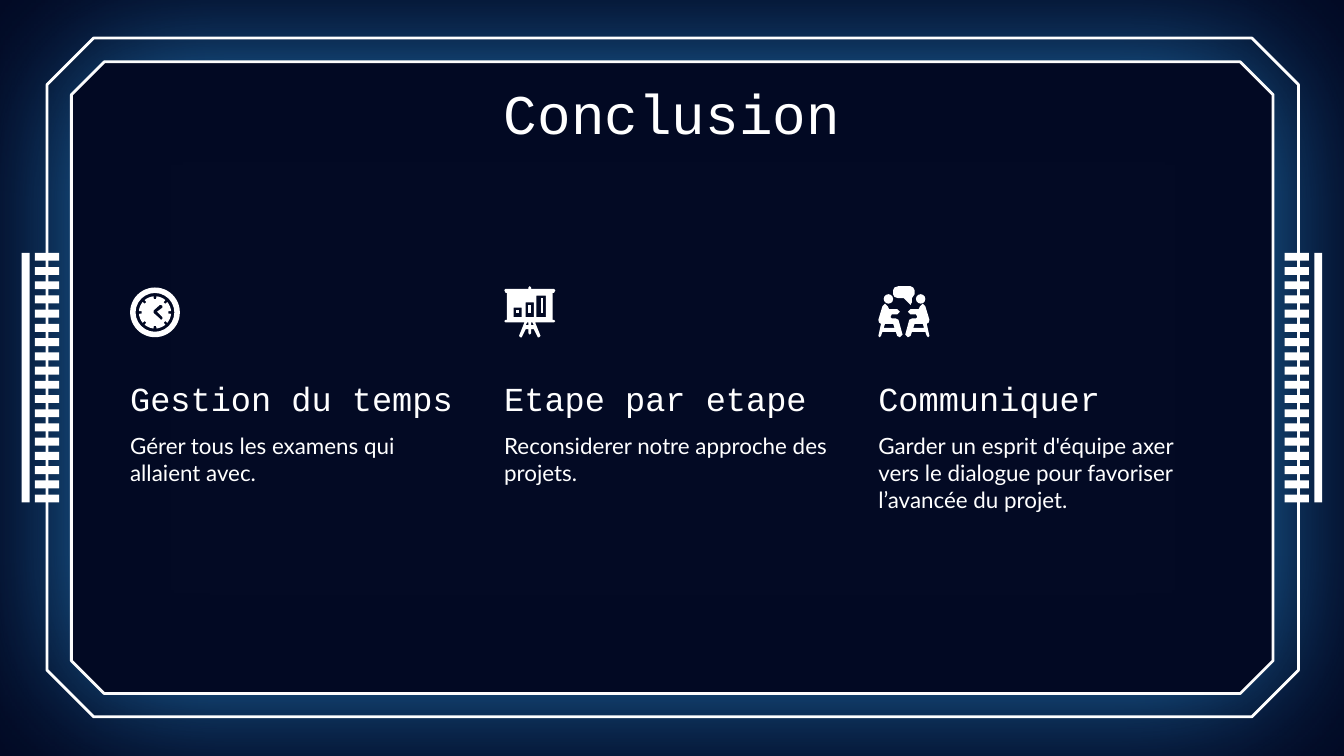
from math import cos, radians, sin

from lxml.etree import SubElement
from pptx import Presentation
from pptx.dml.color import RGBColor
from pptx.enum.shapes import MSO_SHAPE
from pptx.enum.text import MSO_ANCHOR, PP_ALIGN
from pptx.oxml.ns import qn
from pptx.util import Cm, Pt

NAVY = RGBColor(0x03, 0x0A, 0x24)
WHITE = RGBColor(0xFF, 0xFF, 0xFF)
GLOW = RGBColor(0x2E, 0x9D, 0xEF)
BLACK = RGBColor(0x00, 0x00, 0x00)
ICON_UNIT = Cm(0.0254)

BOARD = [(19, 0), (18, 1), (18, 2), (1, 2), (0, 3), (1, 5), (2, 5), (2, 25), (1, 25),
         (0, 26), (1, 27), (15, 27), (11, 37), (12, 38), (13, 38), (16, 32), (18, 32),
         (18, 35), (19, 36), (20, 35), (20, 32), (22, 32), (25, 38), (26, 38), (27, 37),
         (23, 27), (37, 27), (38, 26), (37, 25), (36, 25), (36, 5), (37, 5), (38, 3),
         (37, 2), (20, 2), (20, 1)]
BOARD_LEGS = [[(18, 27), (18, 29), (16, 29), (17, 27)], [(20, 27), (21, 27), (22, 29), (20, 29)]]
BARS = [(7, 16, 13, 23), (16, 12, 22, 23), (24, 7, 31, 23)]
BAR_CORES = [(9, 18, 11, 20), (18, 14, 20, 20), (27, 9, 29, 20)]
CLOCK_HAND = [(23, 13), (24, 13.5), (24, 15), (20, 18), (24, 22), (24, 23.5), (23, 24),
              (22, 23), (17.5, 19), (17.5, 17), (22, 13)]
SITTER = [(5, 13), (3, 15), (0, 25), (0.5, 27), (2, 28), (0, 37), (1, 38), (2, 37), (3, 34),
          (13, 34), (14, 37), (16, 38), (18, 36), (15, 25), (13, 24), (10, 24), (9, 23),
          (10, 21), (14, 21), (16, 19), (14, 17), (8, 17), (7, 15)]
CHAIR_GAP = [(11, 28), (12, 31), (4, 31), (5, 28)]
BUBBLE = [(15, 0), (12, 1), (11, 3), (11, 6), (12, 8), (15, 9), (19, 9), (23, 13), (24, 14),
          (25, 12), (25, 9), (27, 6), (27, 3), (26, 1), (24, 0)]


def paint(shape, fill):
    """Give a shape a plain fill with no line and no shadow."""
    shape.shadow.inherit = False
    shape.fill.solid()
    shape.fill.fore_color.rgb = fill
    shape.line.fill.background()
    return shape


def add_block(page, kind, left, top, width, height):
    """Add a white preset shape."""
    return paint(page.shapes.add_shape(kind, left, top, width, height), WHITE)


def add_outline(page, left, top, contours, unit=ICON_UNIT):
    """Add one white freeform made of closed contours."""
    placed = [[(left + x * unit, top + y * unit) for x, y in points] for points in contours]
    builder = page.shapes.build_freeform(*placed[0][0])
    for index, points in enumerate(placed):
        if index:
            builder.move_to(*points[0])
        builder.add_line_segments(points[1:], close=True)
    return paint(builder.convert_to_shape(), WHITE)


def corners(left, top, right, bottom):
    """Return the four corners of a rectangle."""
    return [(left, top), (right, top), (right, bottom), (left, bottom)]


def add_frame(page, left, top, width, height, cut, glow, blur, filled):
    """Draw a white frame with cut corners and a soft glow."""
    points = [(cut, 0), (width - cut, 0), (width, cut), (width, height - cut),
              (width - cut, height), (cut, height), (0, height - cut), (0, cut)]
    frame = add_outline(page, left, top, [points], 1)
    if filled:
        frame.fill.fore_color.rgb = NAVY
    else:
        frame.fill.background()
    frame.line.color.rgb = WHITE
    frame.line.width = Pt(1.5)
    effects = frame._element.spPr.find(qn("a:effectLst"))
    shadow = SubElement(effects, qn("a:outerShdw"), blurRad=str(Pt(blur)), dist="0",
                        algn="ctr", rotWithShape="0")
    color = SubElement(shadow, qn("a:srgbClr"), val=str(glow))
    SubElement(color, qn("a:alpha"), val="70000")


def add_rail(page, left, top, width, height, bar_first):
    """Draw a column of dashes with a bar on its outer side."""
    count, dash_width, thickness = 18, Cm(0.46), Cm(0.15)
    step = (height - thickness) / (count - 1)
    far = left + width
    dash_left, bar_left = (far - dash_width, left) if bar_first else (left, far - thickness)
    for index in range(count):
        add_block(page, MSO_SHAPE.RECTANGLE, dash_left, round(top + index * step),
                  dash_width, thickness)
    add_block(page, MSO_SHAPE.RECTANGLE, bar_left, top, thickness, height)


def add_text(page, left, top, width, height, text, font, size,
             anchor=MSO_ANCHOR.TOP, align=PP_ALIGN.LEFT):
    """Add a wrapped white text box."""
    box = page.shapes.add_textbox(left, top, width, height)
    frame = box.text_frame
    frame.word_wrap = True
    frame.vertical_anchor = anchor
    frame.margin_left = frame.margin_right = frame.margin_top = frame.margin_bottom = Cm(0.25)
    para = frame.paragraphs[0]
    para.alignment = align
    span = para.add_run()
    span.text = text
    span.font.name = font
    span.font.size = Pt(size)
    span.font.color.rgb = WHITE


def add_clock(page, left, top):
    """Draw a clock icon with a notched face."""
    ring = add_block(page, MSO_SHAPE.DONUT, left, top + ICON_UNIT, Cm(0.94), Cm(0.94))
    ring.adjustments[0] = 0.11
    face = []
    for tick in range(0, 360, 45):
        for radius, turn in ((10, -5), (10, 5), (12, 5), (12, 14), (12, 23), (12, 32), (12, 40)):
            angle = radians(tick + turn)
            face.append((18.5 + radius * cos(angle), 19.5 + radius * sin(angle)))
    hand = [(x, y + 1) for x, y in CLOCK_HAND]
    add_outline(page, left, top, [face, hand])


def add_board(page, left, top):
    """Draw a presentation board icon with a bar chart."""
    add_outline(page, left, top, [BOARD, *BOARD_LEGS, *(corners(*bar) for bar in BARS)])
    for core in BAR_CORES:
        add_outline(page, left, top, [corners(*core)])


def add_meeting(page, left, top):
    """Draw two seated people, mirrored, under a speech bubble."""
    add_outline(page, left, top, [BUBBLE])
    head = 7 * ICON_UNIT
    for mirrored in (False, True):
        parts = [[(38 - x if mirrored else x, y) for x, y in points]
                 for points in (SITTER, CHAIR_GAP)]
        add_outline(page, left, top, parts)
        head_left = left + (28 if mirrored else 4) * ICON_UNIT
        add_block(page, MSO_SHAPE.OVAL, head_left, top + 6 * ICON_UNIT, head, head)


def add_column(page, left, top, width, draw_icon, heading, body):
    """Place an icon, a heading and a text under each other."""
    draw_icon(page, left + Cm(0.25), top)
    add_text(page, left, top + Cm(1.57), width, Cm(1.17), heading, "Courier New", 18,
             MSO_ANCHOR.BOTTOM)
    add_text(page, left, top + Cm(2.51), width, Cm(2.57), body, "Lato", 12)


def main():
    """Build the conclusion slide."""
    deck = Presentation()
    deck.slide_width, deck.slide_height = Cm(25.4), Cm(14.29)
    page = deck.slides.add_slide(deck.slide_layouts[6])
    page.background.fill.solid()
    page.background.fill.fore_color.rgb = NAVY
    add_frame(page, Cm(1.35), Cm(1.17), Cm(22.71), Cm(11.94), Cm(0.62), GLOW, 77.6, True)
    add_frame(page, Cm(0.89), Cm(0.72), Cm(23.65), Cm(12.83), Cm(0.88), BLACK, 76.5, False)
    for left, bar_first in ((Cm(0.41), True), (Cm(24.28), False)):
        add_rail(page, left, Cm(4.78), Cm(0.71), Cm(4.72), bar_first)
    add_text(page, Cm(2), Cm(1.24), Cm(21.4), Cm(1.6), "Conclusion", "Courier New", 30,
             align=PP_ALIGN.CENTER)
    columns = [
        (add_clock, "Gestion du temps", "Gérer tous les examens qui allaient avec."),
        (add_board, "Etape par etape", "Reconsiderer notre approche des projets."),
        (add_meeting, "Communiquer",
         "Garder un esprit d'équipe axer vers le dialogue pour favoriser l’avancée du projet."),
    ]
    for index, column in enumerate(columns):
        add_column(page, Cm(2.21) + index * Cm(7.07), Cm(5.41), Cm(6.83), *column)
    deck.save("out.pptx")


if __name__ == "__main__":
    main()
